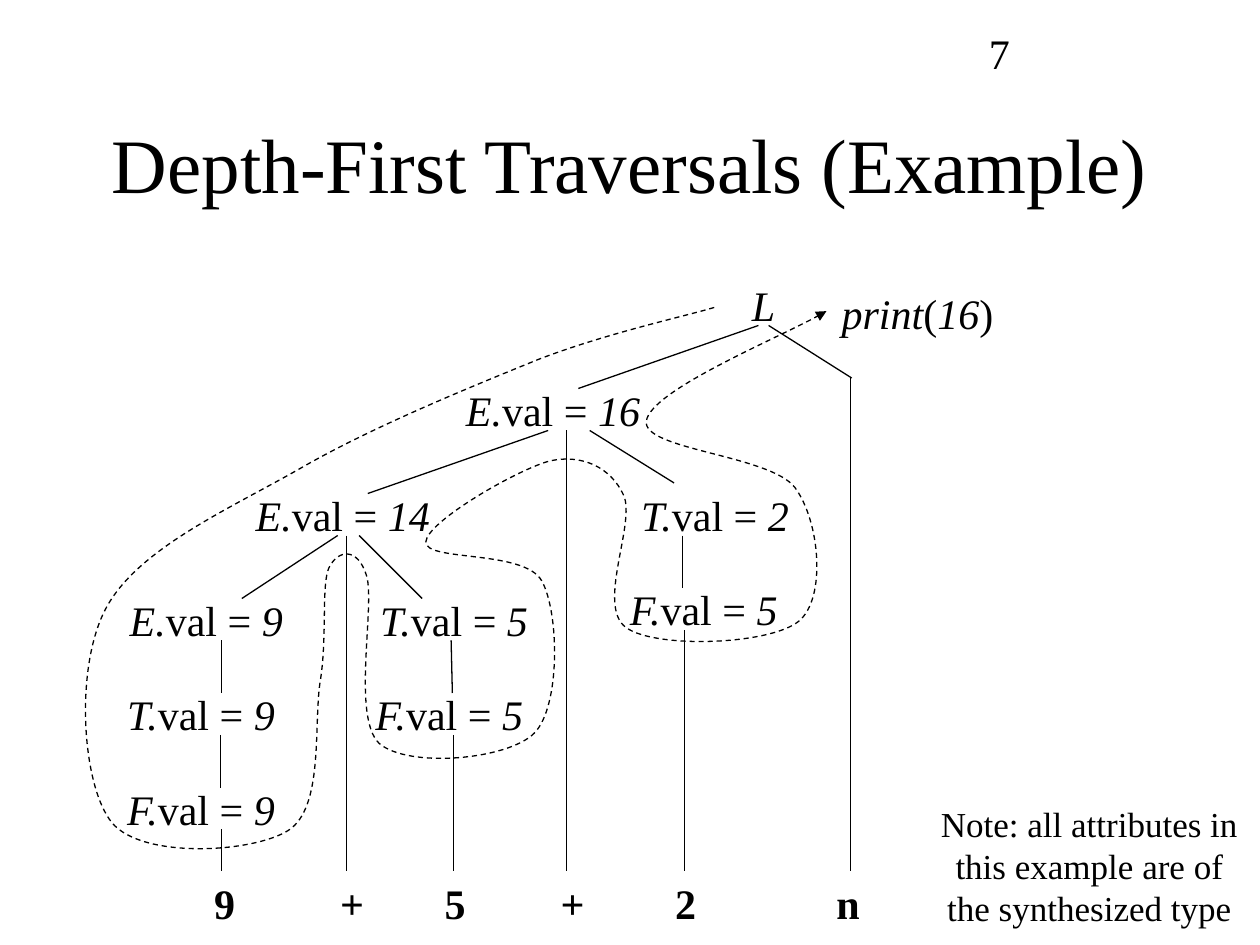
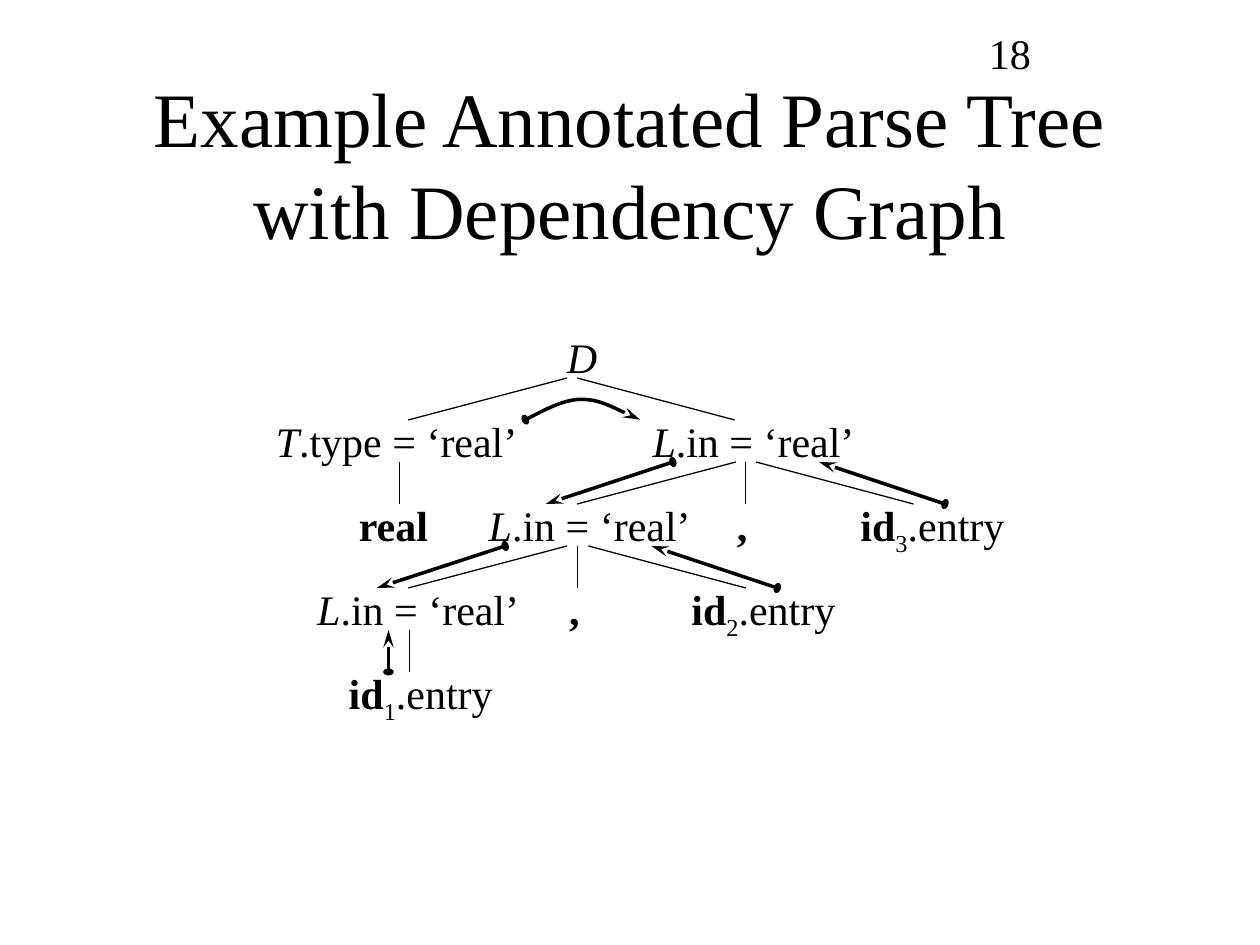
import lxml.etree
import pptx
import pptx.dml.color
import pptx.enum.dml
import pptx.enum.shapes
import pptx.enum.text
import pptx.oxml.ns
import pptx.util

Pt = pptx.util.Pt
qn = pptx.oxml.ns.qn
COLOURS = {"ink": "000000", "paper": "FFFFFF"}
FONT = "Times New Roman"
BODY_SIZE = 24
THIN, THICK = 0.75, 2
HEAD_LENGTHS = {"oval": "sm", "stealth": "lg", "triangle": "med"}
ROW_DROP = 30  # from the top of a label to the edges that leave it


class Painter:
    def __init__(self, deck):
        self.deck = deck
        self.page = None

    def colour(self, name):
        return pptx.dml.color.RGBColor.from_string(COLOURS[name])

    def start_page(self, title, number):
        self.page = self.deck.slides.add_slide(self.deck.slide_layouts[6])
        background = self.page.background.fill
        background.solid()
        background.fore_color.rgb = self.colour("paper")
        self.text(54, 48, 612, 90, [(title, "")], size=44,
                  centred=True, wrap=True, middle=True)
        self.text(558, 12, 150, 35, [(str(number), "")], wrap=True)

    def text(self, left, top, width, height, spans, size=BODY_SIZE,
             centred=False, wrap=False, middle=False):
        """Spans are (words, style); style holds i, b or s (subscript)."""
        box = self.page.shapes.add_textbox(Pt(left), Pt(top), Pt(width), Pt(height))
        frame = box.text_frame
        frame.word_wrap = wrap
        auto = pptx.enum.text.MSO_AUTO_SIZE
        frame.auto_size = auto.NONE if wrap else auto.SHAPE_TO_FIT_TEXT
        anchor = pptx.enum.text.MSO_ANCHOR
        frame.vertical_anchor = anchor.MIDDLE if middle else anchor.TOP
        para = frame.paragraphs[0]
        align = pptx.enum.text.PP_ALIGN
        para.alignment = align.CENTER if centred else align.LEFT
        for words, style in spans:
            for index, line in enumerate(words.split("\n")):
                if index:
                    para.add_line_break()
                self.span(para, line, style, size)

    def span(self, para, words, style, size):
        span = para.add_run()
        span.text = words
        span.font.name = FONT
        span.font.size = Pt(size)
        span.font.color.rgb = self.colour("ink")
        span.font.italic = "i" in style
        span.font.bold = "b" in style
        if "s" in style:
            span.font._element.set("baseline", "-25000")

    def label(self, left, top, width, *spans):
        self.text(left, top, width, 36, spans)

    def line(self, start, end, weight=THIN, head=None, tail=None):
        connector = self.page.shapes.add_connector(
            pptx.enum.shapes.MSO_CONNECTOR.STRAIGHT, *map(Pt, (*start, *end)))
        self.stroke(connector, weight, head, tail)

    def curve(self, points, weight=THIN, head=None, tail=None, dashed=False):
        """Draws cubic curves: a start point, then three points for each."""
        start, *rest = [(Pt(x), Pt(y)) for x, y in points]
        builder = self.page.shapes.build_freeform(*start)
        builder.add_line_segments(rest, close=False)
        shape = builder.convert_to_shape()
        segments = list(shape._element.iter(qn("a:lnTo")))
        for first in range(0, len(segments), 3):
            bezier = lxml.etree.Element(qn("a:cubicBezTo"))
            segments[first].addprevious(bezier)
            for segment in segments[first:first + 3]:
                bezier.append(segment[0])
                segment.getparent().remove(segment)
        shape.fill.background()
        self.stroke(shape, weight, head, tail, dashed)

    def stroke(self, shape, weight, head, tail, dashed=False):
        shape.line.color.rgb = self.colour("ink")
        shape.line.width = Pt(weight)
        if dashed:
            shape.line.dash_style = pptx.enum.dml.MSO_LINE.DASH
        properties = shape._element.spPr
        outline = properties.find(qn("a:ln"))
        for tag, kind in (("a:headEnd", head), ("a:tailEnd", tail)):
            if kind:
                end = lxml.etree.SubElement(outline, qn(tag))
                end.set("type", kind)
                end.set("len", HEAD_LENGTHS[kind])
        lxml.etree.SubElement(properties, qn("a:effectLst"))


def draw_traversal(painter):
    painter.start_page("Depth-First Traversals (Example)", 7)

    nodes = [  # symbol, value, left, top, width
        ("E", "16", 259.2, 216, 116), ("E", "14", 139, 276, 116),
        ("T", "2", 359.3, 276, 104), ("F", "5", 352.8, 330, 104),
        ("E", "9", 67, 336, 104), ("T", "5", 210.2, 336, 104),
        ("T", "9", 65.5, 390, 104), ("F", "5", 207.4, 390, 104),
        ("F", "9", 65.5, 444, 104),
    ]
    for symbol, value, left, top, width in nodes:
        painter.label(left, top, width, (symbol + ".", "i"), ("val = ", ""), (value, "i"))
    painter.label(422.6, 156, 29, ("L", "i"))
    painter.label(473.8, 160.5, 104, ("print", "i"), ("(", ""), ("16", "i"), (")", ""))

    token_top = 498
    tokens = [("9", 115.2), ("+", 187.2), ("5", 247),
              ("+", 313.2), ("2", 378.7), ("n", 470.9)]
    for token, left in tokens:
        painter.label(left, token_top, 29, (token, "b"))

    branches = [  # x and top of the parent, x and y of the child
        (433.4, 156, 330.5, 222), (439.2, 156, 486.7, 216),
        (313.2, 216, 210.2, 282), (337, 216, 385.2, 276),
        (193, 276, 138.2, 342), (205.2, 276, 241.2, 342),
        (390.2, 276, 390.2, 336), (126.7, 336, 126.7, 396),
        (257.8, 336, 258.5, 396), (126, 390, 126, 450),
    ]
    stems = [(126.7, 444), (198, 276), (259.2, 390), (323.8, 216), (391, 330), (486, 186)]
    branches += [(x, top, x, token_top) for x, top in stems]
    for parent_x, parent_top, child_x, child_y in branches:
        painter.line((parent_x, parent_top + ROW_DROP), (child_x, child_y))

    walk = [
        (408.2, 175.7),
        (391.7, 180.7), (347.8, 190.1), (308.2, 205.2),
        (269.3, 221), (212.4, 244.1), (171.4, 267.8),
        (129.6, 291.6), (78.5, 313.9), (60.5, 347.8),
        (42.5, 381.6), (46.8, 449.3), (64.1, 470.2),
        (81.4, 491), (144.7, 487.4), (164.9, 474.5),
        (185, 461.5), (179.3, 415.4), (182.9, 390.2),
        (187.2, 365), (183.6, 334.8), (187.9, 324.7),
        (193, 313.9), (204.5, 312.5), (209.5, 329),
        (214.6, 345.6), (200.9, 409.7), (216.7, 424.8),
        (233.3, 439.2), (290.2, 434.2), (305.3, 419),
        (320.4, 403.9), (319.7, 349.9), (309.6, 331.9),
        (299.5, 313.9), (242.6, 321.1), (243.4, 309.6),
        (244.1, 298.1), (295.2, 268.6), (313.9, 263.5),
        (332.6, 259.2), (349.2, 267.1), (356.4, 283),
        (363.6, 298.8), (340.6, 346.3), (357.8, 358.6),
        (374.4, 370.8), (439.9, 368.6), (456.5, 355),
        (472.3, 342), (468.7, 298.1), (454.3, 278.6),
        (439.9, 259.9), (366.5, 257), (369.4, 240.5),
        (372.2, 223.2), (450.7, 190.8), (472.3, 177.8),
    ]
    painter.curve(walk, tail="triangle", dashed=True)
    note = "Note: all attributes in\nthis example are of\nthe synthesized type"
    painter.text(529, 455, 187, 79, [(note, "")], size=20, centred=True)


def draw_dependencies(painter):
    painter.start_page("Example Annotated Parse Tree with Dependency Graph", 18)

    def row_top(level):
        return 186 + 48 * level

    def edge_ends(level, upper_x, lower_x):
        upper_y = row_top(level) + ROW_DROP
        return (upper_x, upper_y), (lower_x, upper_y + 24)

    painter.label(316.8, row_top(0), 34, ("D", "i"))
    painter.label(150.5, row_top(1), 156, ("T", "i"), (".type = ‘real’", ""))
    painter.label(198, row_top(2), 56, ("real", "b"))
    for level, left in ((1, 365.8), (2, 272.2), (3, 174.2)):
        painter.label(left, row_top(level), 133, ("L", "i"), (".in = ‘real’", ""))
    for level, left, index in ((2, 484.6, "3"), (3, 388, "2"), (4, 192.2, "1")):
        painter.text(left, row_top(level), 99, 40,
                     [("id", "b"), (index, "s"), (".entry", "")])
    for level, left in ((2, 414), (3, 318.2)):
        painter.label(left, row_top(level), 22, (",", "b"))

    tree_edges = [  # level, upper x, lower x
        (0, 324, 233.3), (0, 329.8, 419.8),
        (1, 228.2, 228.2), (1, 420.5, 329.8), (1, 426.2, 426.2), (1, 432, 522),
        (2, 324, 233.3), (2, 330, 330), (2, 336.2, 426.2),
        (3, 234, 234),
    ]
    for edge in tree_edges:
        painter.line(*edge_ends(*edge))

    inherited = [(1, 384.5, 311.8), (2, 288.7, 215.3)]
    for edge in inherited:
        painter.line(*edge_ends(*edge), THICK, "oval", "stealth")
    entries = [(1, 468, 540), (2, 372.2, 444.2), (3, 222, 222)]
    for edge in entries:
        painter.line(*edge_ends(*edge), THICK, "stealth", "oval")
    type_to_list = [(300.2, 239.8),
                    (305.3, 237.6), (321.1, 228.2), (331.9, 228.2),
                    (342.7, 228.2), (358.6, 236.9), (365.8, 239.8)]
    painter.curve(type_to_list, THICK, "oval", "stealth")


def main():
    deck = pptx.Presentation()
    deck.slide_width, deck.slide_height = Pt(720), Pt(540)
    painter = Painter(deck)
    draw_traversal(painter)
    draw_dependencies(painter)
    deck.save("out.pptx")


if __name__ == "__main__":
    main()
